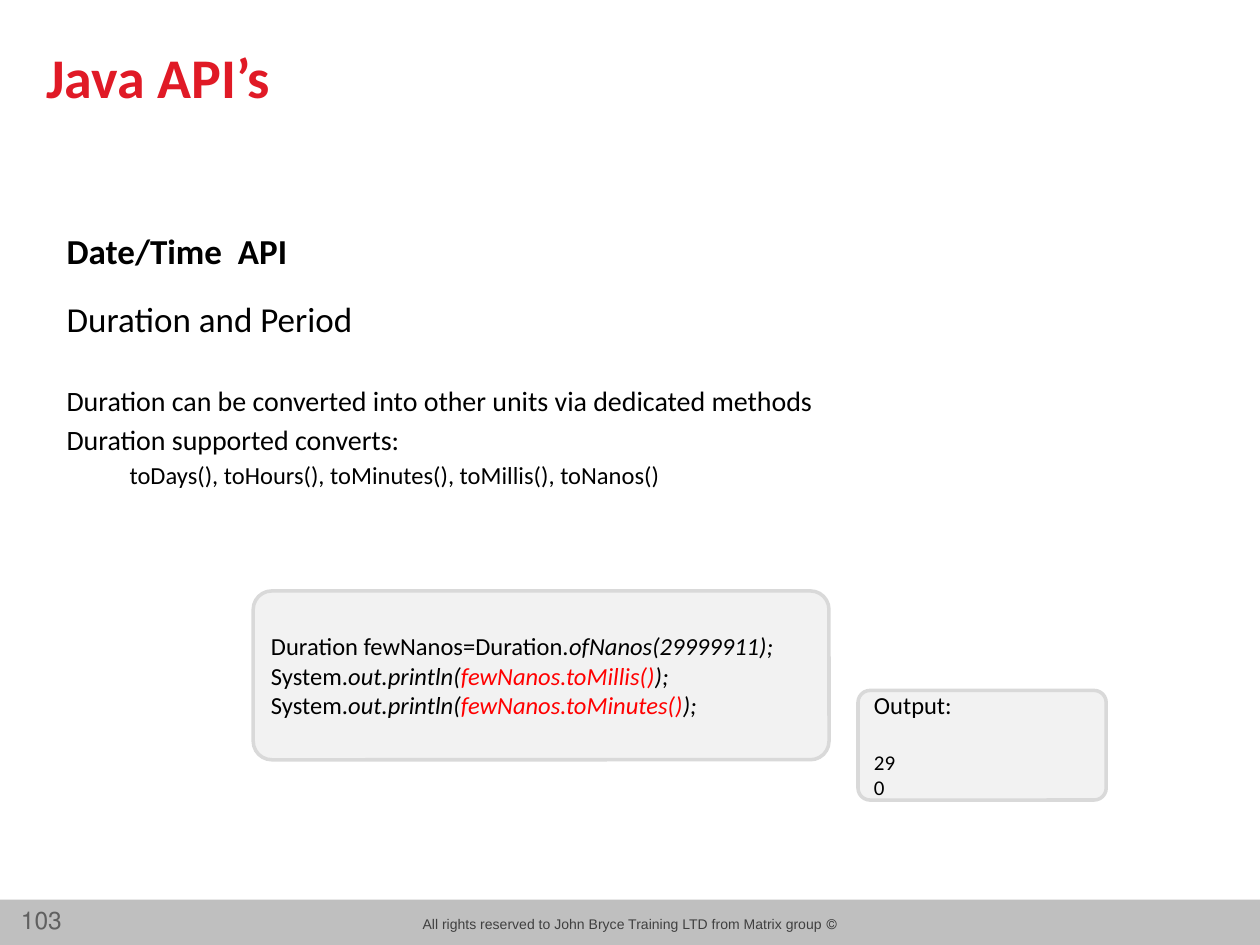
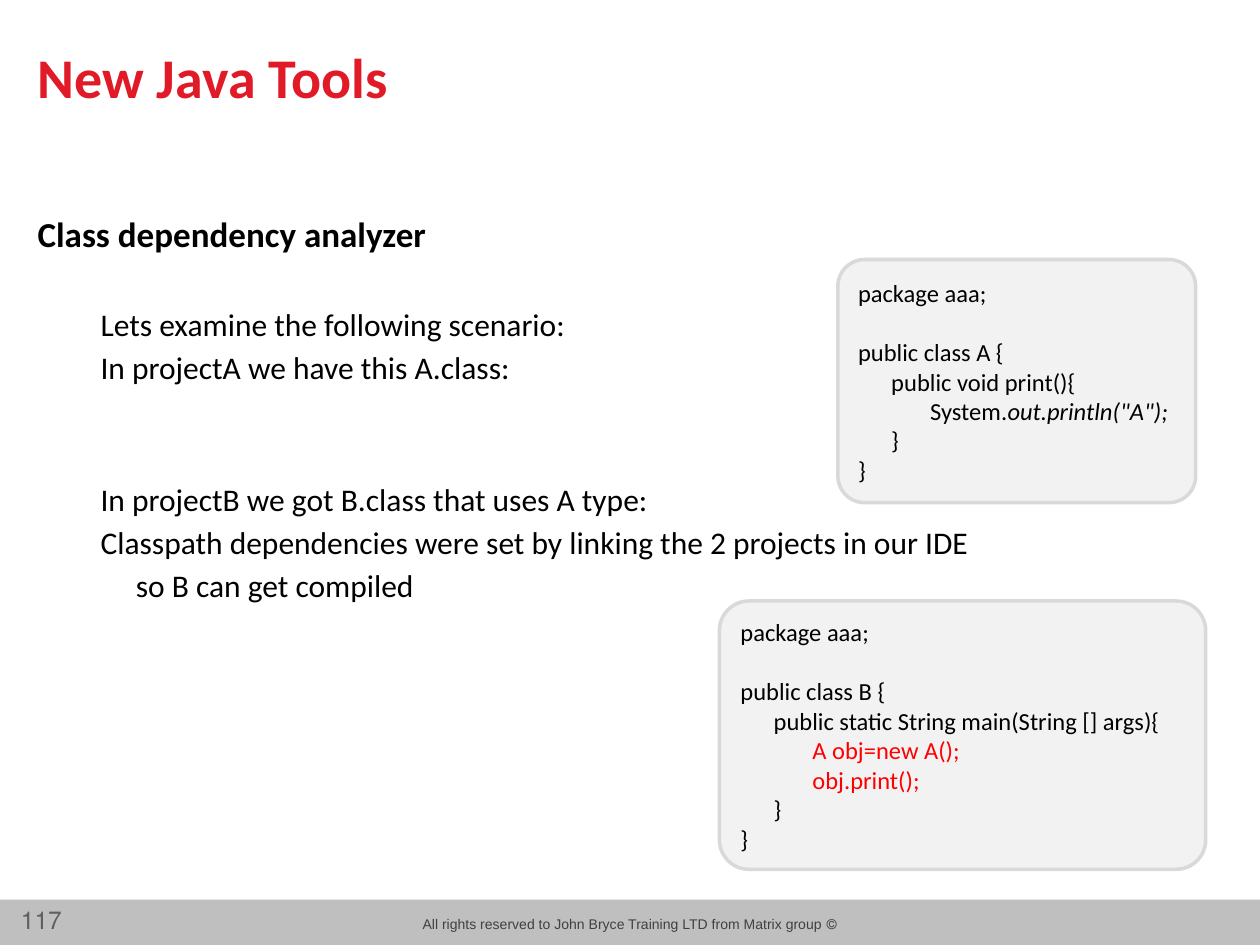
import pptx
import pptx.util
import pptx.dml.color
import pptx.enum.shapes
import pptx.enum.text

PX = 9144
COLORS = {
    "title": "E01A26", "text": "000000", "accent": "FF0000",
    "band": "BFBFBF", "footer": "404040", "number": "606060",
    "panel": "F2F2F2", "border": "D9D9D9",
}
FOOTER = "© All rights reserved to John Bryce Training LTD from Matrix group"
ALIGN = pptx.enum.text.PP_ALIGN
SHAPES = pptx.enum.shapes.MSO_SHAPE


def rgb(name):
    return pptx.dml.color.RGBColor.from_string(COLORS[name])


def blank(size, lines=1):
    return 1.4 * size * lines


class Deck:
    body_font = "Calibri"
    footer_font = "Arial"

    def __init__(self):
        self.prs = pptx.Presentation()
        self.prs.slide_width = 1000 * PX
        self.prs.slide_height = 750 * PX
        self.s = None

    def slide(self, number, title, title_left):
        self.s = self.prs.slides.add_slide(self.prs.slide_layouts[6])
        self.shape(SHAPES.RECTANGLE, (0, 714, 1000, 36), "band")
        self.footer((318, 722, 364, 24), FOOTER, 8, "footer", ALIGN.CENTER)
        self.footer((-9, 713, 68, 34), number, 14, "number", ALIGN.RIGHT)
        tf = self.textbox((title_left, 29, 882, 63))
        tf.text = title
        self.style(tf.paragraphs[0].runs[0], 32, "title", bold=True)

    def shape(self, kind, box, fill):
        sp = self.s.shapes.add_shape(kind, *(v * PX for v in box))
        sp.shadow.inherit = False
        sp.fill.solid()
        sp.fill.fore_color.rgb = rgb(fill)
        sp.line.fill.background()
        return sp

    def textbox(self, box):
        tf = self.s.shapes.add_textbox(*(v * PX for v in box)).text_frame
        tf.word_wrap = True
        return tf

    def style(self, r, size, color="text", bold=False, italic=False, font=None):
        r.font.name = font or self.body_font
        r.font.size = pptx.util.Pt(size)
        r.font.bold = bold
        r.font.italic = italic
        r.font.color.rgb = rgb(color)

    def footer(self, box, text, size, color, align):
        tf = self.textbox(box)
        tf.text = text
        p = tf.paragraphs[0]
        p.alignment = align
        p._p.get_or_add_pPr().set("rtl", "1")
        self.style(p.runs[0], size, color, font=self.footer_font)

    def body(self, box, heading, lines):
        tf = self.textbox(box)
        tf.text = heading
        self.style(tf.paragraphs[0].runs[0], 20, bold=True)
        for text, size, indent, gap in lines:
            p = tf.add_paragraph()
            p.text = text
            p.space_before = pptx.util.Pt(round(0.18 * size + gap, 1))
            p._p.get_or_add_pPr().set("marL", str(indent * PX))
            self.style(p.runs[0], size)

    def code(self, box, lines, sizes=None):
        sp = self.shape(SHAPES.ROUNDED_RECTANGLE, box, "panel")
        sp.adjustments[0] = 0.11
        sp.line.color.rgb = rgb("border")
        sp.line.width = pptx.util.Pt(2)
        tf = sp.text_frame
        tf.word_wrap = True
        tf.vertical_anchor = pptx.enum.text.MSO_ANCHOR.MIDDLE
        p, gap = tf.paragraphs[0], 0
        for i, line in enumerate(lines):
            if not line:
                gap = 17
                continue
            if i:
                p = tf.add_paragraph()
            p.alignment = ALIGN.LEFT
            p.space_before = pptx.util.Pt(gap)
            gap = 0
            for text, flags in [(line, "")] if isinstance(line, str) else line:
                r = p.add_run()
                r.text = text
                self.style(r, sizes[i] if sizes else 14,
                           "accent" if "r" in flags else "text", italic="i" in flags)


def print_line(call):
    return [("System.", ""), ("out.println(", "i"), (call, "ir"), (");", "i")]


def duration_slide(deck):
    deck.slide("103", "Java API’s", 27)
    deck.body((43, 177, 945, 425), "Date/Time  API", [
        ("Duration and Period", 20, 0, blank(8)),
        ("Duration can be converted into other units via dedicated methods", 16, 0, blank(16)),
        ("Duration supported converts:", 16, 0, 0),
        ("toDays(), toHours(), toMinutes(), toMillis(), toNanos()", 14, 50, 0),
    ])
    deck.code((201, 469, 457, 134), [
        [("Duration fewNanos=Duration.", ""), ("ofNanos(29999911);", "i")],
        print_line("fewNanos.toMillis()"),
        print_line("fewNanos.toMinutes()"),
    ])
    deck.code((681, 548, 197, 87), ["Output:", "", "29", "0"], [14, 14, 12, 12])


def dependency_slide(deck):
    deck.slide("117", "New Java Tools", 20)
    deck.body((20, 164, 945, 396), "Class dependency analyzer", [
        ("Lets examine the following scenario:", 18, 50, blank(18)),
        ("In projectA we have this A.class:", 18, 50, 0),
        ("In projectB we got B.class that uses A type:", 18, 50, blank(18, 2)),
        ("Classpath dependencies were set by linking the 2 projects in our IDE", 18, 50, 0),
        ("so B can get compiled", 18, 78, 0),
    ])
    method, statement = " " * 6, " " * 13
    deck.code((665, 206, 284, 193), [
        "package aaa;",
        "",
        "public class A {",
        method + "public void print(){",
        [(statement + "System.", ""), ('out.println("A");', "i")],
        method + "}",
        "}",
    ])
    deck.code((571, 477, 386, 213), [
        "package aaa;",
        "",
        "public class B {",
        method + "public static String main(String [] args){",
        [(statement + "A obj=new A();", "r")],
        [(statement + "obj.print();", "r")],
        method + "}",
        "}",
    ])


def main():
    deck = Deck()
    duration_slide(deck)
    dependency_slide(deck)
    deck.prs.save("out.pptx")


if __name__ == "__main__":
    main()
